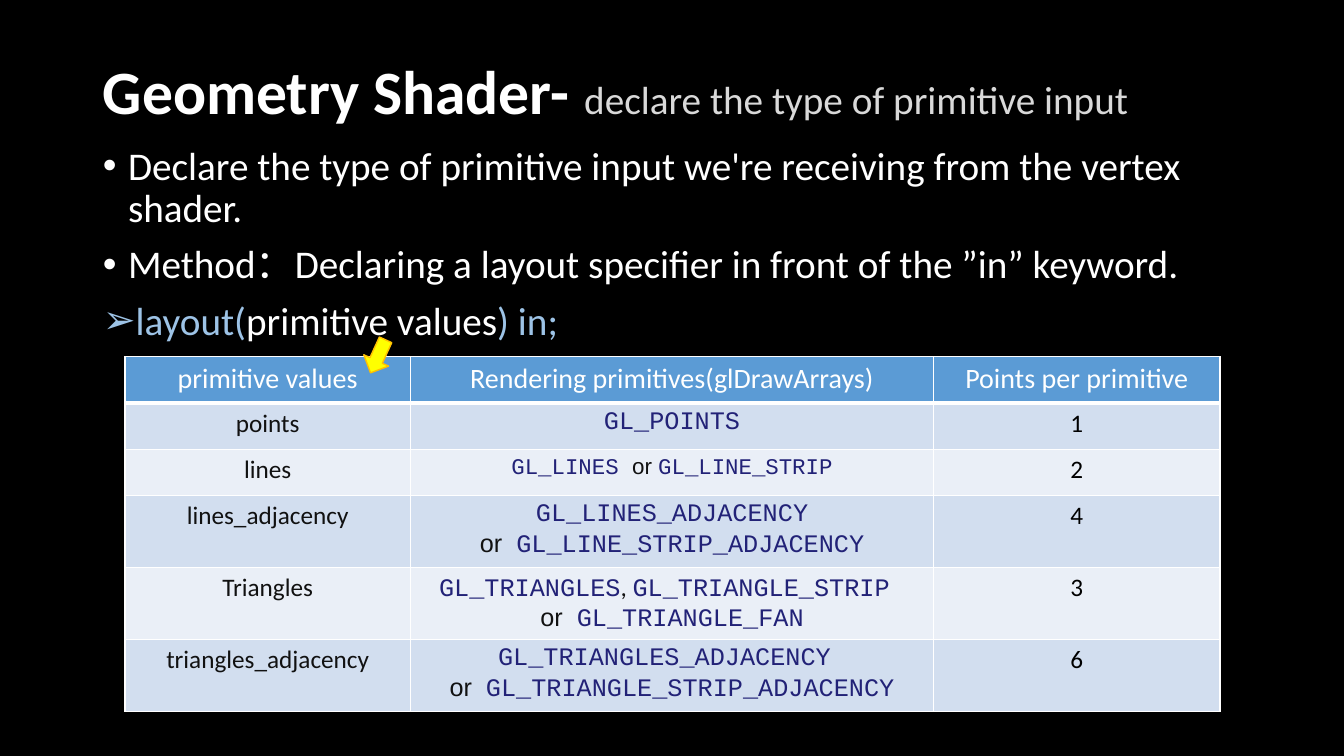
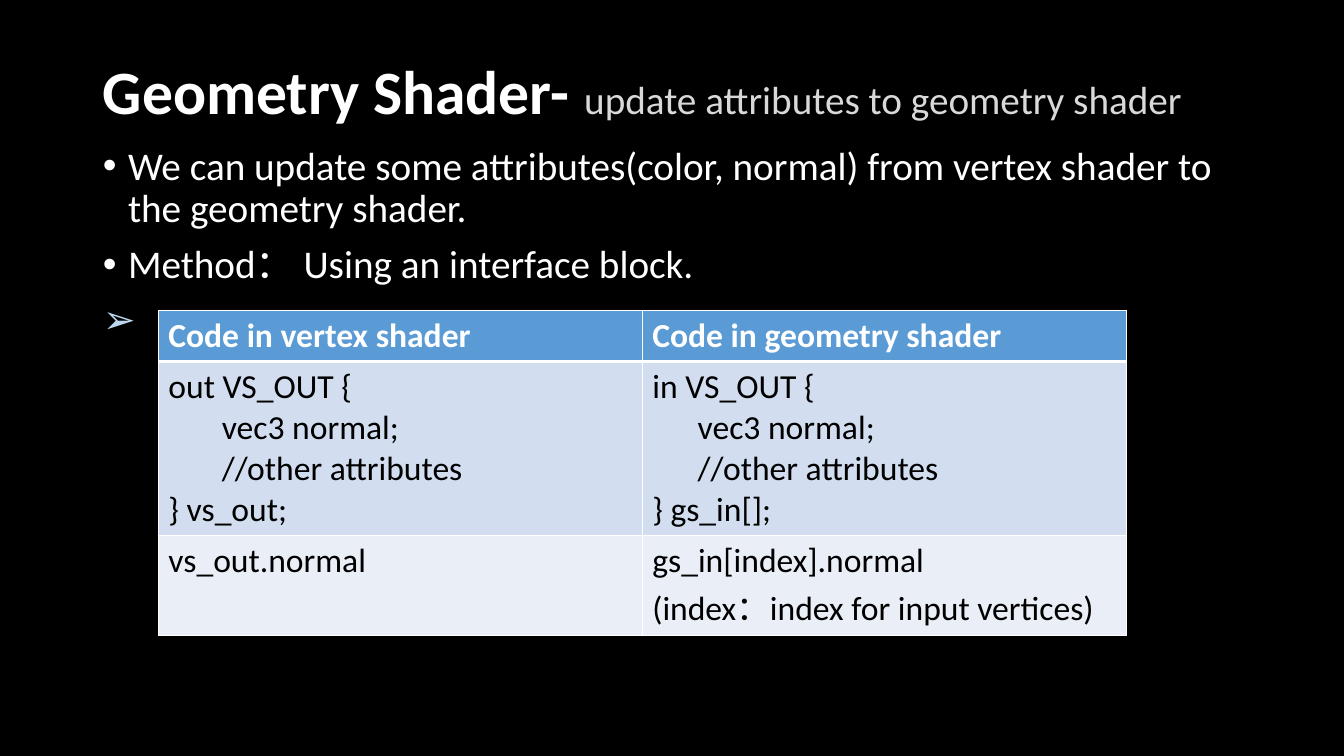
from dataclasses import dataclass

from lxml.etree import SubElement
from pptx import Presentation
from pptx.dml.color import RGBColor
from pptx.enum.shapes import MSO_SHAPE as Shape
from pptx.enum.text import MSO_ANCHOR as Anchor, MSO_AUTO_SIZE as AutoSize, PP_ALIGN as Align
from pptx.oxml.ns import qn
from pptx.util import Inches, Pt

WHITE, BLACK, INK = "FFFFFF", "000000", "111111"
GREY, BLUE, CODE = "D9D9D9", "9DC3E6", "222277"
HEADER, BANDS = "5B9BD5", ("D2DEEF", "EAEFF7")
SANS, ARIAL, MONO = "Calibri", "Arial", "Courier New"


@dataclass
class Run:
    text: str
    size: float
    color: str
    font: str = SANS
    bold: bool = False


@dataclass
class Para:
    runs: list[Run]
    align: Align = Align.LEFT
    indent: float = 0


@dataclass
class Bullet:
    runs: list[Run]
    char: str = "•"


@dataclass
class Grid:
    left: float
    top: float
    widths: list[float]
    heights: list[float]
    rows: list[list[list[Para]]]


def rgb(color: str) -> RGBColor:
    return RGBColor.from_string(color)


def add_runs(p, runs: list[Run]) -> None:
    for run in runs:
        r = p.add_run()
        r.text = run.text
        r.font.size = Pt(run.size)
        r.font.name = run.font
        r.font.bold = run.bold
        r.font.color.rgb = rgb(run.color)


def paragraphs(tf, count: int) -> list:
    return [tf.paragraphs[0]] + [tf.add_paragraph() for _ in range(count - 1)]


def place(sp, left: float, top: float, width: float, height: float, anchor: Anchor):
    sp.left, sp.top = Inches(left), Inches(top)
    sp.width, sp.height = Inches(width), Inches(height)
    tf = sp.text_frame
    tf.word_wrap = True
    tf.auto_size = AutoSize.NONE
    tf.vertical_anchor = anchor
    return tf


def add_slide(prs, subtitle: str, bullets: list[Bullet]):
    s = prs.slides.add_slide(prs.slide_layouts[1])
    p = place(s.shapes.title, 0.92, 0.21, 11.5, 1.45, Anchor.MIDDLE).paragraphs[0]
    p.alignment = Align.LEFT
    p.line_spacing = 0.9
    add_runs(p, [Run("Geometry Shader- ", 44, WHITE, bold=True), Run(subtitle, 28, GREY)])

    tf = place(s.placeholders[1], 0.92, 1.4, 11.5, 5.17, Anchor.TOP)
    for p, bullet in zip(paragraphs(tf, len(bullets)), bullets):
        p.line_spacing = 0.9
        p.space_before = Pt(10)
        pPr = p._p.get_or_add_pPr()
        pPr.set("marL", str(Inches(0.25)))
        pPr.set("indent", str(Inches(-0.25)))
        SubElement(pPr, qn("a:buFont"), typeface=ARIAL)
        SubElement(pPr, qn("a:buChar"), char=bullet.char)
        add_runs(p, bullet.runs)
    return s


def set_borders(cell, bottom: float) -> None:
    tcPr = cell._tc.get_or_add_tcPr()
    for side, width in (("L", 1), ("R", 1), ("T", 1), ("B", bottom)):
        ln = SubElement(tcPr, qn(f"a:ln{side}"), w=str(Pt(width)))
        fill = SubElement(ln, qn("a:solidFill"))
        SubElement(fill, qn("a:srgbClr"), val=WHITE)


def add_grid(s, grid: Grid) -> None:
    frame = s.shapes.add_table(
        len(grid.heights), len(grid.widths), Inches(grid.left), Inches(grid.top),
        Inches(sum(grid.widths)), Inches(sum(grid.heights)))
    table = frame.table
    table.horz_banding = False
    for column, width in zip(table.columns, grid.widths):
        column.width = Inches(width)
    for i, (row, height) in enumerate(zip(grid.rows, grid.heights)):
        table.rows[i].height = Inches(height)
        for j, paras in enumerate(row):
            cell = table.cell(i, j)
            set_borders(cell, 1 if i else 3)
            cell.fill.solid()
            cell.fill.fore_color.rgb = rgb(BANDS[(i - 1) % 2] if i else HEADER)
            for p, para in zip(paragraphs(cell.text_frame, len(paras)), paras):
                p.alignment = para.align
                if para.indent:
                    p._p.get_or_add_pPr().set("marL", str(Inches(para.indent)))
                add_runs(p, para.runs)


def centred(*runs: Run) -> Para:
    return Para(list(runs), Align.CENTER)


def body(text: str, color: str = WHITE) -> Run:
    return Run(text, 28, color)


def gl(text: str, size: float = 18) -> Run:
    return Run(text, size, CODE, MONO)


def either(name: str) -> Para:
    return centred(Run("or  ", 18, INK, ARIAL), gl(name))


def code(text: str, indent: float = 0) -> Para:
    return Para([Run(text, 24, BLACK)], indent=indent)


def block(opening: str, closing: str, indent: float) -> list[Para]:
    return [code(opening), code("vec3 normal;", indent),
            code("//other attributes", indent), code(closing)]


def primitive_slide(prs) -> None:
    s = add_slide(prs, "declare the type of primitive input", [
        Bullet([body("Declare the type of primitive input we're receiving from the vertex shader.")]),
        Bullet([body("Method：Declaring a layout specifier in front of the ”in” keyword.")]),
        Bullet([body("layout(", BLUE), body("primitive values"), body(") in;", BLUE)], "➢"),
    ])
    headers = ["primitive values", "Rendering primitives(glDrawArrays)", "Points per primitive"]
    primitives = [
        ("points", [centred(gl("GL_POINTS"))], "1"),
        ("lines", [centred(gl("GL_LINES ", 16), Run("or ", 16, INK, ARIAL),
                           gl("GL_LINE_STRIP", 16))], "2"),
        ("lines_adjacency", [centred(gl("GL_LINES_ADJACENCY")),
                             either("GL_LINE_STRIP_ADJACENCY")], "4"),
        ("Triangles", [centred(gl("GL_TRIANGLES"), Run(", ", 18, INK), gl("GL_TRIANGLE_STRIP ")),
                       either("GL_TRIANGLE_FAN")], "3"),
        ("triangles_adjacency", [centred(gl("GL_TRIANGLES_ADJACENCY ")),
                                 either("GL_TRIANGLE_STRIP_ADJACENCY")], "6"),
    ]
    rows = [[[centred(Run(text, 20, WHITE))] for text in headers]]
    rows += [[[centred(Run(name, 18, INK))], modes, [centred(Run(points, 18, BLACK))]]
             for name, modes, points in primitives]
    add_grid(s, Grid(1.24, 3.54, [2.83, 5.19, 2.84], [0.46] * 3 + [0.71] * 3, rows))

    arrow = s.shapes.add_shape(
        Shape.LEFT_ARROW, Inches(3.57), Inches(3.4), Inches(0.36), Inches(0.27))
    arrow.rotation = 294.5
    arrow.shadow.inherit = False
    arrow.fill.solid()
    arrow.fill.fore_color.rgb = rgb("FFFF00")
    arrow.line.color.rgb = rgb("FFC000")
    arrow.line.width = Pt(1)


def attribute_slide(prs) -> None:
    s = add_slide(prs, "update attributes to geometry shader", [
        Bullet([body("We can update some attributes(color, normal) from vertex shader "
                     "to the geometry shader.")]),
        Bullet([body("Method： Using an interface block.")]),
        Bullet([body(" ", "BDD7EE")], "➢"),
    ])
    headers = ["Code in vertex shader", "Code in geometry shader"]
    rows = [
        [[Para([Run(text, 24, WHITE, bold=True)])] for text in headers],
        [block("out VS_OUT {", "} vs_out;", 0.53), block("in VS_OUT {", "} gs_in[];", 0.45)],
        [[code("vs_out.normal")],
         [code("gs_in[index].normal"), code("(index：index for input vertices)")]],
    ]
    add_grid(s, Grid(1.57, 3.08, [4.8] * 2, [0.41] * 3, rows))


def main() -> None:
    prs = Presentation()
    prs.slide_width, prs.slide_height = Inches(13.33), Inches(7.5)
    background = prs.slide_master.background.fill
    background.solid()
    background.fore_color.rgb = rgb(BLACK)
    primitive_slide(prs)
    attribute_slide(prs)
    prs.save("out.pptx")


if __name__ == "__main__":
    main()
